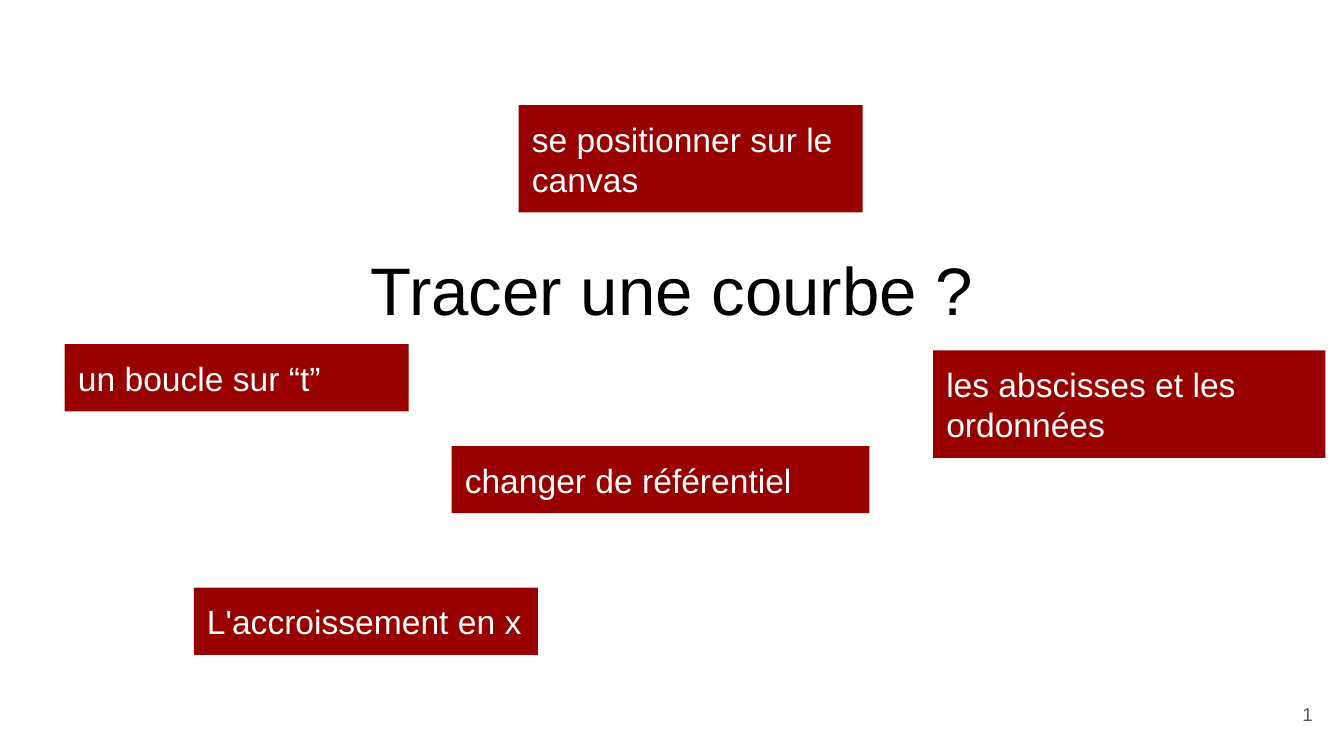
from pptx import Presentation
from pptx.dml.color import RGBColor
from pptx.enum.shapes import MSO_SHAPE
from pptx.enum.text import MSO_ANCHOR, MSO_AUTO_SIZE, PP_ALIGN
from pptx.util import Inches, Pt

COLORS = {"title": "000000", "number": "595959", "box": "980000", "label": "FFFFFF"}

prs = Presentation()
prs.slide_width = Inches(10)
prs.slide_height = prs.slide_width * 9 // 16
COL, ROW = prs.slide_width / 100, prs.slide_height / 100
s = prs.slides.add_slide(prs.slide_layouts[5])


def grid(x, y, w, h):
    return int(x * COL), int(y * ROW), int(w * COL), int(h * ROW)


def write(sp, text, size, color, align, anchor, fit=MSO_AUTO_SIZE.NONE):
    tf = sp.text_frame
    tf.text = text
    tf.word_wrap = True
    tf.auto_size = fit
    tf.vertical_anchor = anchor
    tf.margin_left = tf.margin_right = tf.margin_top = tf.margin_bottom = Inches(0.1)
    p = tf.paragraphs[0]
    p.alignment = align
    font = p.runs[0].font
    font.name, font.size = "Arial", Pt(size)
    font.color.rgb = RGBColor.from_string(COLORS[color])


title = s.shapes.title
title.left, title.top, title.width, title.height = grid(3.4, 30.04, 93.2, 16.36)
write(title, "Tracer une courbe ?", 36, "title", PP_ALIGN.CENTER, MSO_ANCHOR.MIDDLE)

number = s.shapes.add_textbox(*grid(92.65, 90.67, 6, 7.64))
write(number, "1", 10, "number", PP_ALIGN.RIGHT, MSO_ANCHOR.MIDDLE)

ONE_LINE, TWO_LINES = 8.89, 14.22
steps = [
    ("se positionner sur le canvas", 38.6, 13.9, 25.6, TWO_LINES),
    ("changer de référentiel", 33.6, 59.02, 31.1, ONE_LINE),
    ("un boucle sur “t”", 4.82, 45.54, 25.6, ONE_LINE),
    ("les abscisses et les ordonnées", 69.42, 46.36, 29.2, TWO_LINES),
    ("L'accroissement en x", 14.42, 77.75, 25.6, ONE_LINE),
]
for text, *cell in steps:
    sp = s.shapes.add_shape(MSO_SHAPE.RECTANGLE, *grid(*cell))
    sp.shadow.inherit = False
    sp.fill.solid()
    sp.fill.fore_color.rgb = RGBColor.from_string(COLORS["box"])
    sp.line.fill.background()
    write(sp, text, 18, "label", PP_ALIGN.LEFT, MSO_ANCHOR.TOP, MSO_AUTO_SIZE.SHAPE_TO_FIT_TEXT)

prs.save("out.pptx")
